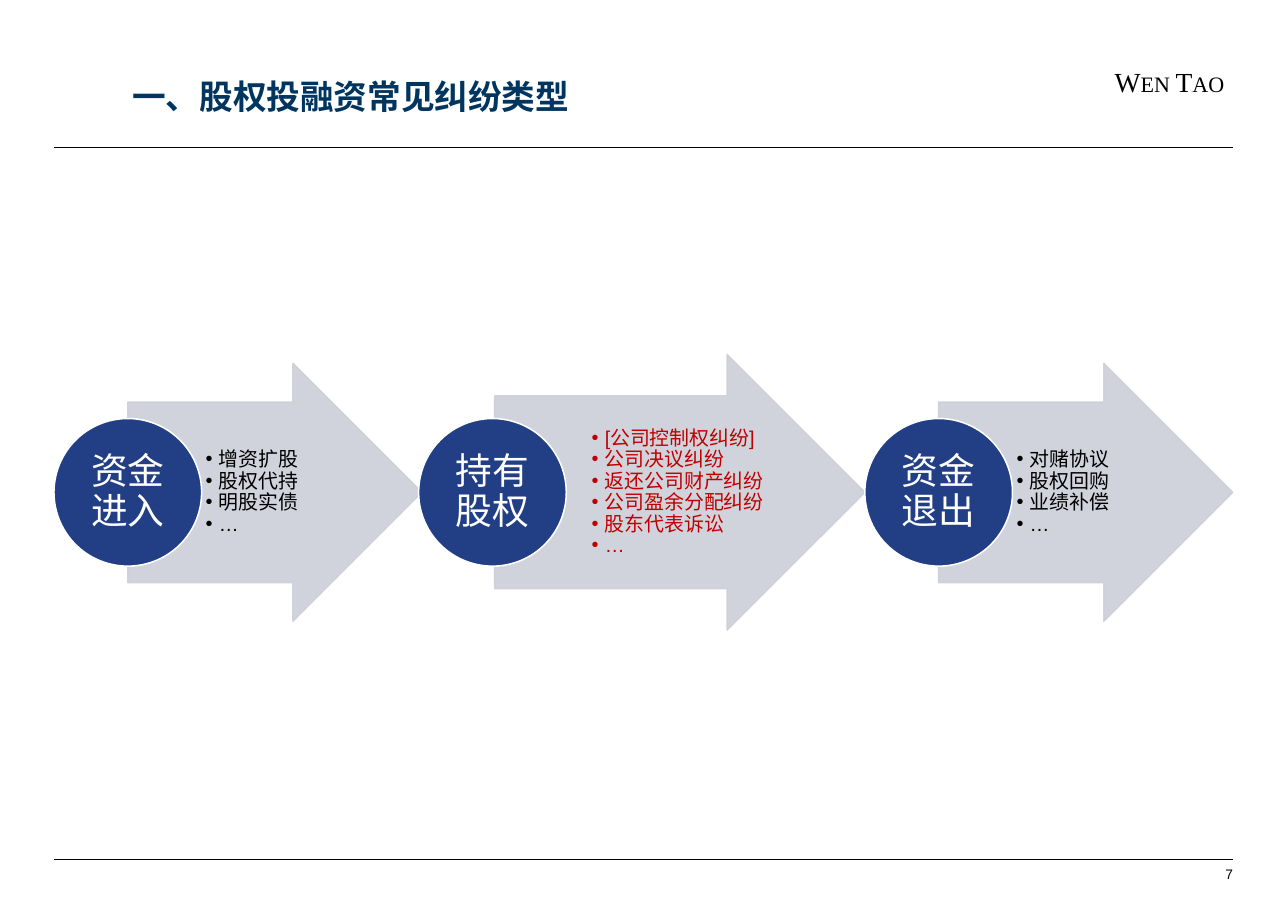
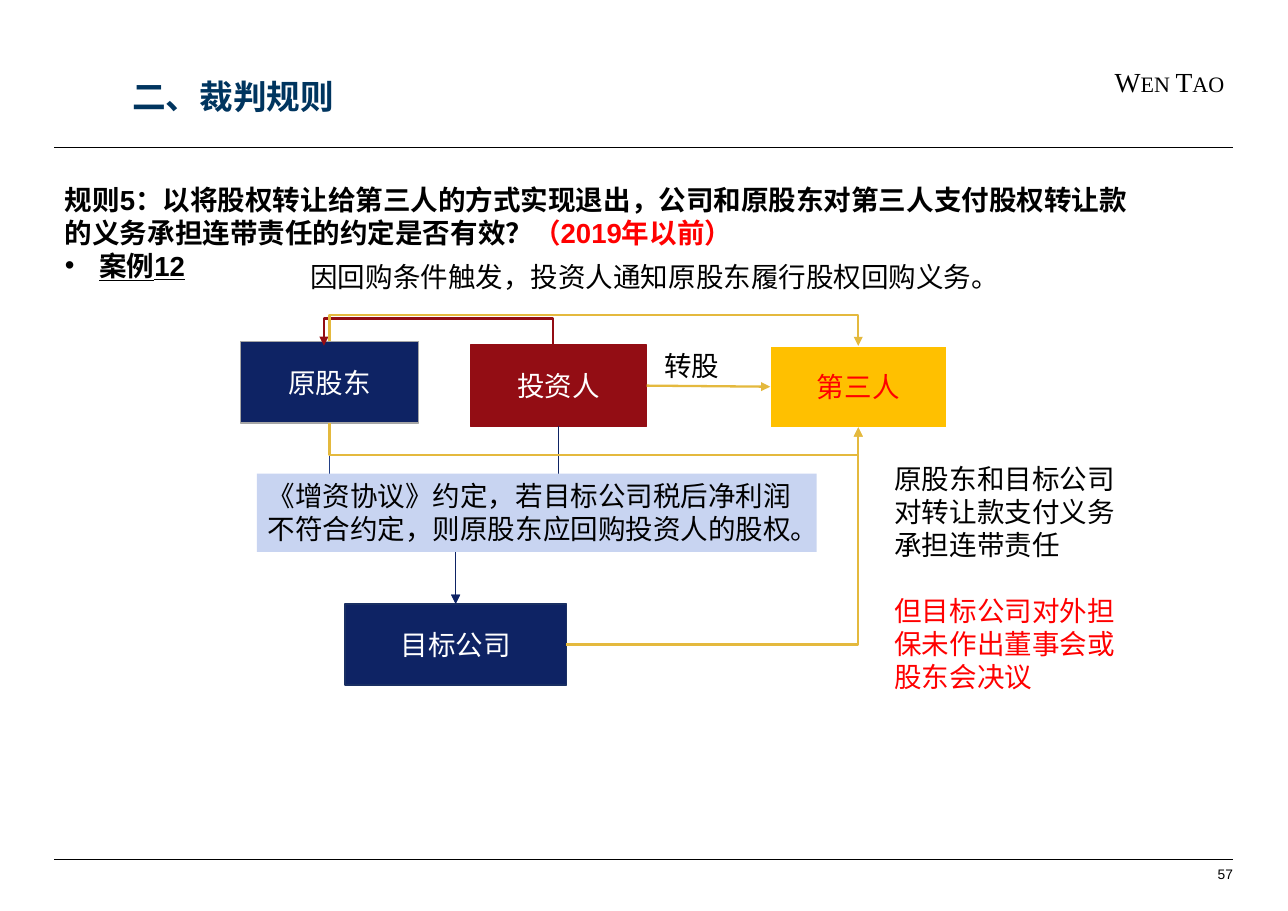
import pptx
import pptx.util
from dataclasses import dataclass
from lxml import etree
from pptx.dml.color import RGBColor
from pptx.enum.dml import MSO_LINE
from pptx.enum.shapes import MSO_CONNECTOR, MSO_SHAPE
from pptx.enum.text import MSO_ANCHOR, MSO_AUTO_SIZE, PP_ALIGN
from pptx.oxml.ns import qn

Pt = pptx.util.Pt
TOP, LEFT, BOTTOM, RIGHT = range(4)  # connection sites of a rectangle


@dataclass(frozen=True)
class Theme:
    font: str = "Arial"
    serif: str = "Times New Roman"
    title: str = "00355F"
    ink: str = "000000"
    white: str = "FFFFFF"
    navy: str = "0E2364"
    navy_edge: str = "192F63"
    grey_edge: str = "A6A6A6"
    blue: str = "223F86"
    pale_blue: str = "C8D4F1"
    arrow: str = "CDCFD9"
    maroon: str = "930D14"
    amber: str = "FFC000"
    gold: str = "E4B93E"
    red: str = "FF0000"
    dark_red: str = "C00000"
    title_size: float = 22
    circle_size: float = 24
    body_size: float = 18
    list_size: float = 13
    number_size: float = 9


THEME = Theme()
MARGIN_LEFT, MARGIN_RIGHT = 35.3, 805.7


# ---- Text ----

def style_font(font, color, size=THEME.body_size, bold=False, name=THEME.font):
    font.name = name
    font.size = Pt(size)
    font.bold = bold
    font.color.rgb = RGBColor.from_string(color)


def set_margins(frame, left, top, right, bottom):
    frame.margin_left, frame.margin_top = Pt(left), Pt(top)
    frame.margin_right, frame.margin_bottom = Pt(right), Pt(bottom)


def add_bullet(para, indent):
    properties = para._p.get_or_add_pPr()
    properties.set("marL", str(Pt(indent)))
    properties.set("indent", str(-Pt(indent)))
    etree.SubElement(properties, qn("a:buFont"), typeface=THEME.font)
    etree.SubElement(properties, qn("a:buChar"), char="•")


def add_text(page, at, text, color=THEME.ink, size=THEME.body_size, **font):
    box = page.shapes.add_textbox(*map(Pt, at))
    frame = box.text_frame
    frame.word_wrap = True
    frame.text = text
    for para in frame.paragraphs:
        style_font(para.runs[0].font, color, size, **font)
    return box


# ---- Shapes and connectors ----

def set_alpha(color_parent, percent):
    color = next(color_parent.iter(qn("a:srgbClr")))
    etree.SubElement(color, qn("a:alpha"), val=str(percent * 1000))


def add_shape(page, kind, at, fill, edge):
    shape = page.shapes.add_shape(kind, *map(Pt, at))
    shape.shadow.inherit = False
    shape.fill.solid()
    shape.fill.fore_color.rgb = RGBColor.from_string(fill)
    shape.line.color.rgb = RGBColor.from_string(edge)
    shape.line.width = Pt(1)
    return shape


def label_shape(shape, text, color=THEME.white, size=THEME.body_size):
    frame = shape.text_frame
    frame.word_wrap = True
    frame.vertical_anchor = MSO_ANCHOR.MIDDLE
    frame.text = text
    para = frame.paragraphs[0]
    para.alignment = PP_ALIGN.CENTER
    style_font(para.runs[0].font, color, size)
    return frame


def add_party(page, at, text, fill, edge, color=THEME.white):
    party = add_shape(page, MSO_SHAPE.RECTANGLE, at, fill, edge)
    label_shape(party, text, color)
    return party


def style_connector(connector, color, width, arrow=True):
    line = connector.line
    line.color.rgb = RGBColor.from_string(color)
    line.width = Pt(width)
    line.dash_style = MSO_LINE.SOLID
    properties = connector.element.spPr
    if arrow:
        etree.SubElement(properties.find(qn("a:ln")), qn("a:tailEnd"), type="triangle")
    etree.SubElement(properties, qn("a:effectLst"))


def add_line(page, start, end, color, width, kind=MSO_CONNECTOR.STRAIGHT, arrow=True):
    connector = page.shapes.add_connector(kind, *map(Pt, start + end))
    style_connector(connector, color, width, arrow)
    return connector


def add_link(page, start, end, color, width, kind=MSO_CONNECTOR.ELBOW):
    """Join two (shape, site) ends."""
    connector = add_line(page, (0, 0), (0, 0), color, width, kind)
    connector.begin_connect(*start)
    connector.end_connect(*end)
    return connector


def bend_vertically(connector, bend_y):
    """Leave and arrive vertically, crossing over at height bend_y."""
    x1, y1 = connector.begin_x, connector.begin_y
    x2, y2 = connector.end_x, connector.end_y
    width, height = abs(y2 - y1), abs(x2 - x1)
    connector.left, connector.top = (x1 + x2 - width) // 2, (y1 + y2 - height) // 2
    connector.width, connector.height = width, height
    down, leftward = y2 > y1, x2 < x1
    turn = 270
    if down and leftward:
        turn, down, leftward = 90, False, False
    frame = connector.element.spPr.find(qn("a:xfrm"))
    frame.set("rot", str(turn * 60000))
    frame.set("flipH", str(int(down)))
    frame.set("flipV", str(int(leftward)))
    share = round((Pt(bend_y) - y1) / (y2 - y1) * 100000)
    adjustments = next(connector.element.iter(qn("a:avLst")))
    etree.SubElement(adjustments, qn("a:gd"), name="adj1", fmla=f"val {share}")


# ---- Frame shared by all pages ----

def add_page(deck, title, number):
    page = deck.slides.add_slide(deck.slide_layouts[5])
    heading = page.shapes.title
    heading.left, heading.top, heading.width, heading.height = map(Pt, (86.4, 49.7, 577.4, 31))
    frame = heading.text_frame
    frame.text = title
    frame.word_wrap = True
    frame.auto_size = MSO_AUTO_SIZE.NONE
    frame.vertical_anchor = MSO_ANCHOR.TOP
    set_margins(frame, 0, 0, 0, 0)
    para = frame.paragraphs[0]
    para.alignment = PP_ALIGN.LEFT
    style_font(para.runs[0].font, THEME.title, THEME.title_size, bold=True)

    name = add_text(page, (721.4, 38.9, 95.8, 28.8), "Wen Tao", name=THEME.serif)
    name.text_frame.paragraphs[0].runs[0].font._element.set("cap", "small")
    for y in (96.5, 561.6):
        add_line(page, (MARGIN_LEFT, y), (MARGIN_RIGHT, y), THEME.ink, 0.5, arrow=False)

    box = add_text(page, (748.8, 562.3, 56.9, 18), str(number), size=THEME.number_size)
    box.text_frame.vertical_anchor = MSO_ANCHOR.MIDDLE
    box.text_frame.paragraphs[0].alignment = PP_ALIGN.RIGHT
    set_margins(box.text_frame, 7.2, 1.4, 0, 1.4)
    return page


# ---- Dispute types ----

def add_stage(page, circle_left, arrow_left, width, height, name, items, color):
    middle, diameter = 321.8, 96.5
    arrow = add_shape(page, MSO_SHAPE.RIGHT_ARROW,
                      (arrow_left, middle - height / 2, width, height),
                      THEME.arrow, THEME.arrow)
    arrow.adjustments[0], arrow.adjustments[1] = 0.7, 0.5
    properties = arrow.element.spPr
    set_alpha(properties.find(qn("a:solidFill")), 90)
    set_alpha(properties.find(qn("a:ln")), 90)

    # The list fills the arrow's shaft
    shaft = 0.7 * height
    box = add_text(page, (arrow_left + width / 4, middle - shaft / 2, 0.4875 * width, shaft),
                   "\n".join(items), color, THEME.list_size)
    box.text_frame.vertical_anchor = MSO_ANCHOR.MIDDLE
    set_margins(box.text_frame, 2.9, 0.7, 1.4, 0.7)
    for para in box.text_frame.paragraphs:
        add_bullet(para, 8.6)
        para.line_spacing = 0.9

    circle = add_shape(page, MSO_SHAPE.OVAL,
                       (circle_left, middle - diameter / 2, diameter, diameter),
                       THEME.blue, THEME.white)
    frame = label_shape(circle, name, size=THEME.circle_size)
    set_margins(frame, 1.4, 1.4, 1.4, 1.4)
    frame.paragraphs[0].line_spacing = 0.9


def build_dispute_types(deck):
    page = add_page(deck, "一、股权投融资常见纠纷类型", 7)
    stages = [
        (35.3, 83.5, 192.2, 168.5, "资金进入",
         ["增资扩股", "股权代持", "明股实债", "…"], THEME.ink),
        (273.6, 323.3, 241.9, 180, "持有股权",
         ["[公司控制权纠纷]", "公司决议纠纷", "返还公司财产纠纷",
          "公司盈余分配纠纷", "股东代表诉讼", "…"], THEME.dark_red),
        (565.2, 613.4, 192.2, 168.5, "资金退出",
         ["对赌协议", "股权回购", "业绩补偿", "…"], THEME.ink),
    ]
    for stage in stages:
        add_stage(page, *stage)


# ---- Ruling on the transfer to a third party ----

def add_rule_heading(page):
    rule = "规则5：以将股权转让给第三人的方式实现退出，公司和原股东对第三人支付股权转让款的义务承担连带责任的约定是否有效？"
    box = add_text(page, (MARGIN_LEFT, 115.9, 721.4, 72.7), rule + "\n案例12", bold=True)
    question, case = box.text_frame.paragraphs
    period = question.add_run()
    period.text = "（2019年以前）"
    style_font(period.font, THEME.red, bold=True)
    add_bullet(case, 22.5)
    case.runs[0].font.underline = True


def build_ruling(deck):
    page = add_page(deck, "二、裁判规则", 57)
    add_rule_heading(page)

    # Parties
    holder = add_party(page, (157, 223.2, 116.6, 53.3), "原股东", THEME.navy, THEME.grey_edge)
    investor = add_party(page, (307.4, 225.4, 115.2, 53.3), "投资人", THEME.maroon, THEME.maroon)
    third = add_party(page, (503.3, 226.1, 115.2, 53.3), "第三人",
                      THEME.amber, THEME.white, THEME.red)
    target = add_party(page, (225.4, 394.6, 144.7, 53.3), "目标公司",
                       THEME.navy, THEME.navy_edge)

    # Holdings in the target company, with the agreement laid over them
    for owner, color, width in ((holder, THEME.blue, 0.5), (investor, THEME.navy, 1)):
        bend_vertically(add_link(page, (owner, BOTTOM), (target, TOP), color, width), 335.9)
    agreement = add_text(page, (167.8, 309.6, 365.8, 51.1),
                         "《增资协议》约定，若目标公司税后净利润不符合约定，则原股东应回购投资人的股权。")
    agreement.fill.solid()
    agreement.fill.fore_color.rgb = RGBColor.from_string(THEME.pale_blue)

    # Buy-back notice
    add_text(page, (195.8, 166.3, 454.3, 28.8),
             "因回购条件触发，投资人通知原股东履行股权回购义务。")
    notice = add_line(page, (361.4, 228.2), (211.7, 226.1), THEME.maroon, 1.5,
                      MSO_CONNECTOR.ELBOW)
    bend_vertically(notice, 208.1)

    # Transfer to the third party
    add_link(page, (investor, RIGHT), (third, LEFT), THEME.gold, 1.5, MSO_CONNECTOR.STRAIGHT)
    add_text(page, (427, 224.6, 58.3, 28.8), "转股")

    # Joint liability towards the third party
    for site, bend_y in ((TOP, 205.9), (BOTTOM, 297.4)):
        liability = add_link(page, (holder, site), (third, site), THEME.gold, 1.5)
        bend_vertically(liability, bend_y)
    guarantee = add_link(page, (target, RIGHT), (third, BOTTOM), THEME.gold, 1.5)
    guarantee.element.spPr.find(qn("a:prstGeom")).set("prst", "bentConnector2")

    remarks = add_text(page, (577.4, 298.1, 159.1, 159.8),
                       "原股东和目标公司对转让款支付义务承担连带责任\n"
                       "但目标公司对外担保未作出董事会或股东会决议")
    caveat = remarks.text_frame.paragraphs[1]
    caveat.space_before = Pt(21.6)
    caveat.runs[0].font.color.rgb = RGBColor.from_string(THEME.red)


def main():
    deck = pptx.Presentation()
    deck.slide_width, deck.slide_height = Pt(841.7), Pt(595.4)
    build_dispute_types(deck)
    build_ruling(deck)
    deck.save("out.pptx")


if __name__ == "__main__":
    main()
